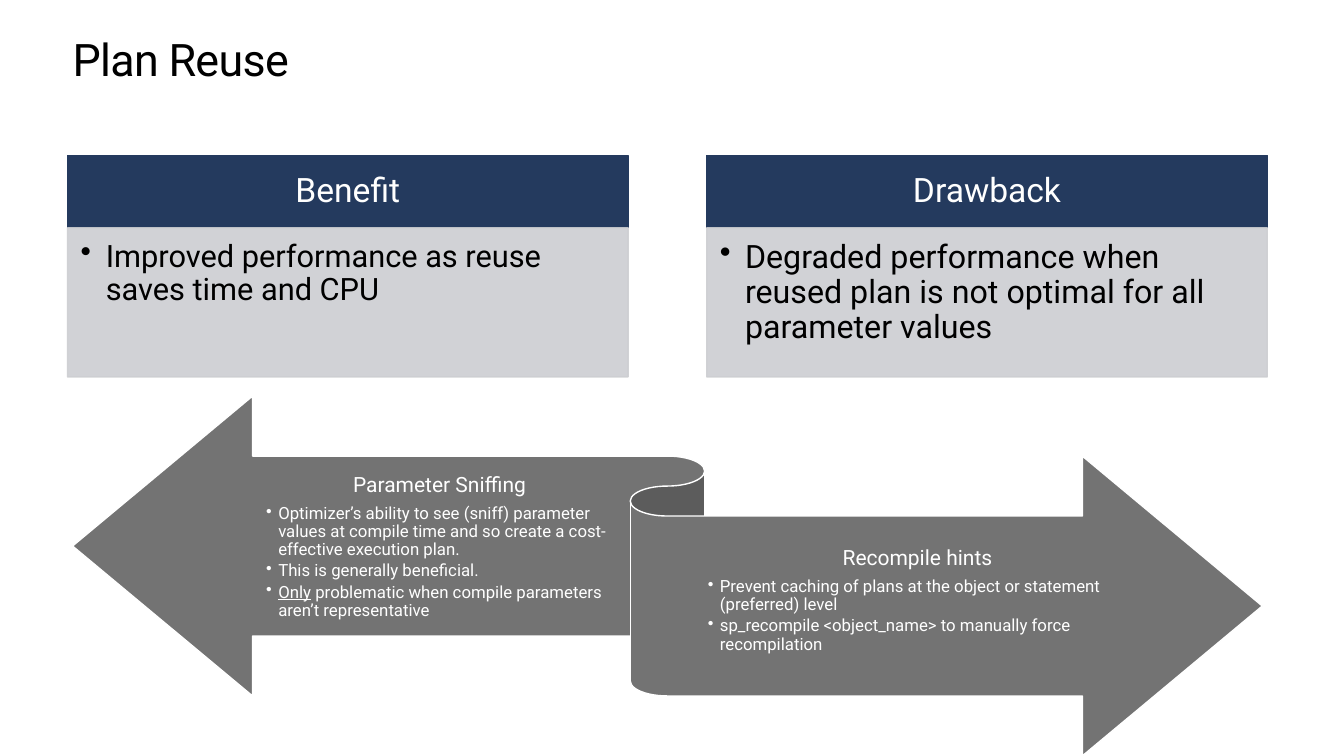
"""Build the Plan Reuse slide with two cards and a two-way ribbon."""
import pptx
import pptx.dml.color
import pptx.enum.shapes
import pptx.enum.text
import pptx.oxml.ns
import pptx.util
from lxml import etree

Inches = pptx.util.Inches
Pt = pptx.util.Pt
RGBColor = pptx.dml.color.RGBColor
Shape = pptx.enum.shapes.MSO_SHAPE
Align = pptx.enum.text.PP_ALIGN
Anchor = pptx.enum.text.MSO_ANCHOR
qn = pptx.oxml.ns.qn

NAVY = RGBColor(0x24, 0x3A, 0x5E)
SILVER = RGBColor(0xCD, 0xCE, 0xD2)
GREY = RGBColor(0x73, 0x73, 0x73)
WHITE = RGBColor(0xFF, 0xFF, 0xFF)
BLACK = RGBColor(0x00, 0x00, 0x00)

CARDS = [
    (0.67, "Benefit", "Improved performance as reuse saves time and CPU", 22),
    (7.01, "Drawback", "Degraded performance when reused plan is not optimal "
     "for all parameter values", 23),
]
ARMS = [
    ((2.64, 4.55, 3.44, 1.75), "Parameter Sniffing", [
        [("Optimizer’s ability to see (sniff) parameter values at compile "
          "time and so create a cost-effective execution plan.", False)],
        [("This is generally beneficial.", False)],
        [("Only", True), (" problematic when compile parameters "
                          "aren’t representative", False)],
    ]),
    ((7.02, 5.08, 4.16, 1.75), "Recompile hints", [
        [("Prevent caching of plans at the object or statement "
          "(preferred) level", False)],
        [("sp_recompile <object_name> to manually force recompilation",
          False)],
    ]),
]


def apply(target, values):
    """Set each named value on the target."""
    for name, value in values.items():
        setattr(target, name, value)


def frame(shape, pads, anchor=Anchor.TOP):
    """Prepare a text frame with its insets and anchor."""
    text = shape.text_frame
    left, top, right, bottom = map(Inches, pads)
    apply(text, {"word_wrap": True, "vertical_anchor": anchor,
                 "margin_left": left, "margin_top": top,
                 "margin_right": right, "margin_bottom": bottom})
    return text


def write(para, runs, size, color, **form):
    """Write styled runs into a paragraph."""
    apply(para, {"alignment": Align.LEFT, "line_spacing": 0.9, **form})
    for words, under in runs:
        run = para.add_run()
        apply(run, {"text": words})
        apply(run.font, {"name": "Roboto", "size": Pt(size),
                         "underline": under})
        run.font.color.rgb = color


def head(para, words, size):
    """Write a centred white heading."""
    write(para, [(words, False)], size, WHITE, alignment=Align.CENTER,
          space_after=Pt(size * 0.4))


def bullet(para, runs, size, color, indent):
    """Write a paragraph with a hanging bullet."""
    props = para._p.get_or_add_pPr()
    props.set("marL", str(Inches(indent)))
    props.set("indent", str(-Inches(indent)))
    etree.SubElement(props, qn("a:buChar")).set("char", "•")
    write(para, runs, size, color, level=1, space_after=Pt(size * 0.18))


def block(slide, kind, box, fill, line, alpha=100):
    """Add a filled shape with a thin outline."""
    shape = slide.shapes.add_shape(kind, *map(Inches, box))
    shape.shadow.inherit = False
    shape.fill.solid()
    shape.fill.fore_color.rgb = fill
    shape.line.color.rgb = line
    shape.line.width = Pt(1)
    if alpha < 100:
        for tint in shape._element.spPr.iter(qn("a:srgbClr")):
            etree.SubElement(tint, qn("a:alpha")).set(
                "val", str(alpha * 1000))
    return shape


def title(slide, words):
    """Add the slide title."""
    box = slide.shapes.add_textbox(*map(Inches, (0.72, 0.35, 11.9, 0.5)))
    para = frame(box, (0, 0, 0, 0)).paragraphs[0]
    write(para, [(words, False)], 32, BLACK, line_spacing=Pt(36.2))
    para.runs[0].font._element.set("spc", "-50")


def card(slide, left, name, words, size):
    """Add a card with a header band and a bullet."""
    band = block(slide, Shape.RECTANGLE, (left, 1.54, 5.56, 0.72), NAVY, NAVY)
    text = frame(band, (0.19, 0.11, 0.19, 0.11), Anchor.MIDDLE)
    head(text.paragraphs[0], name, 24)
    body = block(slide, Shape.RECTANGLE, (left, 2.26, 5.56, 1.48),
                 SILVER, SILVER, 90)
    text = frame(body, (0.13, 0.13, 0.17, 0.19))
    bullet(text.paragraphs[0], [(words, False)], size, BLACK, 0.25)


def arm(slide, place, name, points):
    """Add the text on one arm of the ribbon."""
    box = slide.shapes.add_textbox(*map(Inches, place))
    text = frame(box, (0, 0.06, 0, 0.06), Anchor.MIDDLE)
    head(text.paragraphs[0], name, 15)
    for runs in points:
        bullet(text.add_paragraph(), runs, 12, WHITE, 0.12)


def main():
    """Build and save the slide."""
    deck = pptx.Presentation()
    apply(deck, {"slide_width": Inches(13.33), "slide_height": Inches(7.5)})
    slide = deck.slides.add_slide(deck.slide_layouts[6])
    title(slide, "Plan Reuse")
    for item in CARDS:
        card(slide, *item)
    block(slide, Shape.LEFT_RIGHT_RIBBON, (0.72, 3.93, 11.8, 3.57),
          GREY, WHITE)
    for item in ARMS:
        arm(slide, *item)
    deck.save("out.pptx")


if __name__ == "__main__":
    main()
